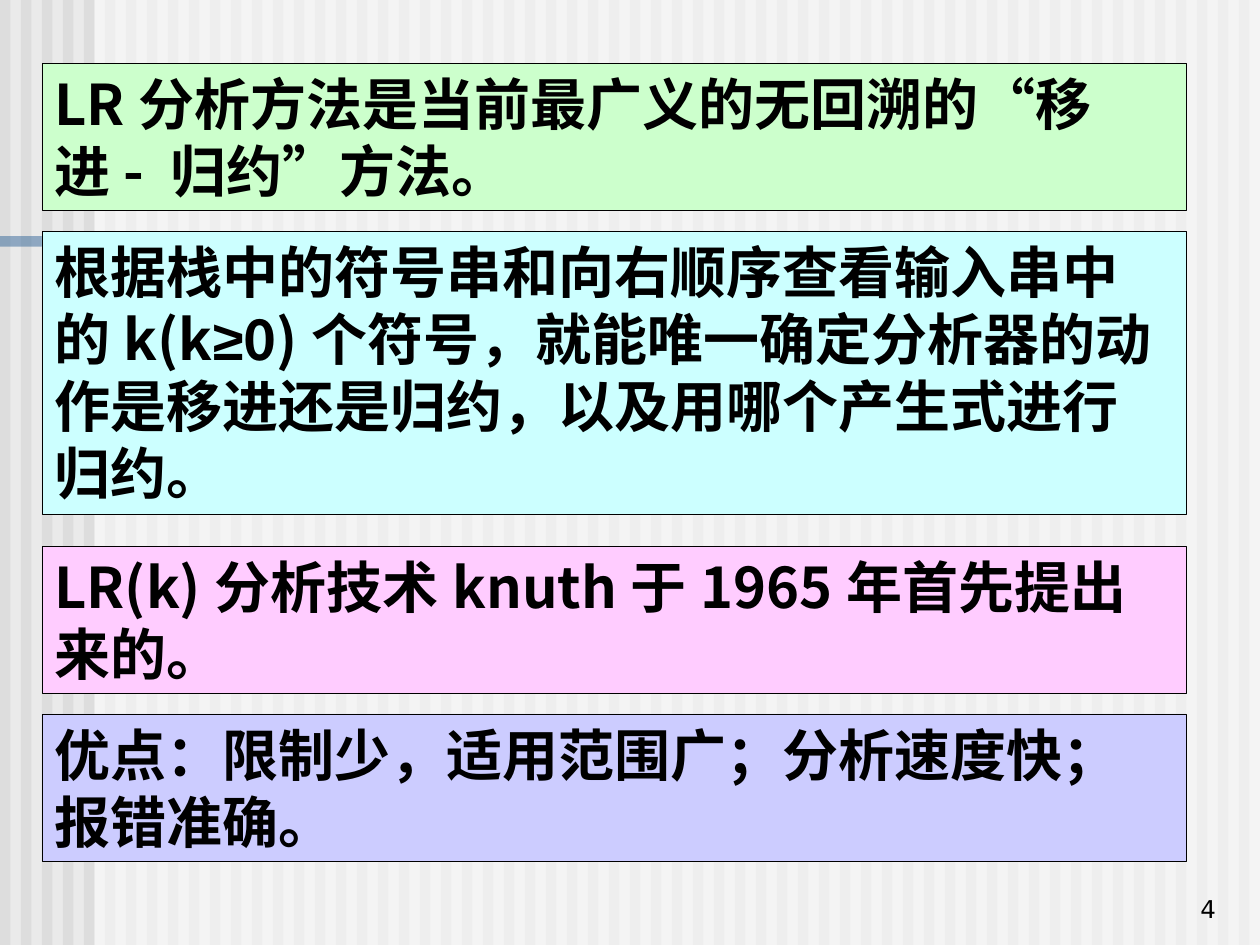
from lxml.etree import SubElement
from pptx import Presentation
from pptx.dml.color import RGBColor
from pptx.enum.shapes import MSO_SHAPE
from pptx.enum.text import MSO_ANCHOR, MSO_AUTO_SIZE, PP_ALIGN
from pptx.oxml.ns import qn
from pptx.util import Inches, Pt

COLS, ROWS = 120, 90
CJK, SERIF, SANS = "Noto Sans CJK JP", "Times New Roman", "Arial"

STATEMENTS = [
    ((4, 6, 109, 14), "CCFFCC", [
        ("LR分析方法是当前最广义的无回溯的", CJK), ("“", SERIF),
        ("移进- 归约", CJK), ("”", SERIF), ("方法。", CJK)]),
    ((4, 22, 109, 27), "CCFFFF", [
        ("根据栈中的符号串和向右顺序查看输入串中的k(k", CJK), ("≥", SANS),
        ("0)个符号，就能唯一确定分析器的动作是移进还是归约，"
         "以及用哪个产生式进行归约。", CJK)]),
    ((4, 52, 109, 14), "FFCCFF", [
        ("LR(k)分析技术knuth于1965年首先提出", CJK), ("来的。", SERIF)]),
    ((4, 68, 109, 14), "CCCCFF", [
        ("优点：限制少，适用范围广；分析速度快；报错准确。", CJK)]),
]


def paint(fmt, color, alpha=None):
    fmt.solid()
    fmt.fore_color.rgb = RGBColor.from_string(color)
    if alpha is not None:
        clr = fmt._xPr.find(qn("a:solidFill"))[0]
        SubElement(clr, qn("a:alpha")).set("val", str(alpha * 1000))


def place(box):
    return [Inches(cells / 12) for cells in box]


def add_rect(slide, box, color, alpha=None):
    sp = slide.shapes.add_shape(MSO_SHAPE.RECTANGLE, *place(box))
    sp.shadow.inherit = False
    sp.line.fill.background()
    paint(sp.fill, color, alpha)
    return sp


def add_run(p, text, font, size, bold=False):
    r = p.add_run()
    r.text = text
    r.font.size = Pt(size)
    r.font.bold = bold
    paint(r.font.fill, "000000")
    r.font.name = font
    SubElement(r.font._element, qn("a:ea")).set("typeface", CJK)


def add_backdrop(slide, box):
    left, top, width, height = box
    paint(slide.background.fill, "EAEAEA")
    for col in range(left, left + width, 2):
        add_rect(slide, (col, top, 1, height), "DDDDDD")
    add_rect(slide, (left + 9, top, width - 9, height), "FFFFFF", 50)
    add_rect(slide, (left, top + 22.5, 91, 1), "336699", 50)


def add_statement(slide, box, color, parts):
    sp = add_rect(slide, box, color)
    paint(sp.line.fill, "000000")
    sp.line.width = Pt(0.25)
    tf = sp.text_frame
    tf.word_wrap = True
    tf.auto_size = MSO_AUTO_SIZE.SHAPE_TO_FIT_TEXT
    tf.vertical_anchor = MSO_ANCHOR.TOP
    p = tf.paragraphs[0]
    p.alignment = PP_ALIGN.LEFT
    for text, font in parts:
        add_run(p, text, font, 32, True)


def add_page_number(slide, box, number):
    tf = slide.shapes.add_textbox(*place(box)).text_frame
    tf.word_wrap = True
    tf.vertical_anchor = MSO_ANCHOR.BOTTOM
    p = tf.paragraphs[0]
    p.alignment = PP_ALIGN.RIGHT
    add_run(p, number, "DejaVu Sans", 14)


def main():
    prs = Presentation()
    prs.slide_width, prs.slide_height = place((COLS, ROWS))
    slide = prs.slides.add_slide(prs.slide_layouts[6])
    add_backdrop(slide, (0, 0, COLS, ROWS))
    add_page_number(slide, (92, 82.5, 25, 6), "4")
    for box, color, parts in STATEMENTS:
        add_statement(slide, box, color, parts)
    prs.save("out.pptx")


if __name__ == "__main__":
    main()
